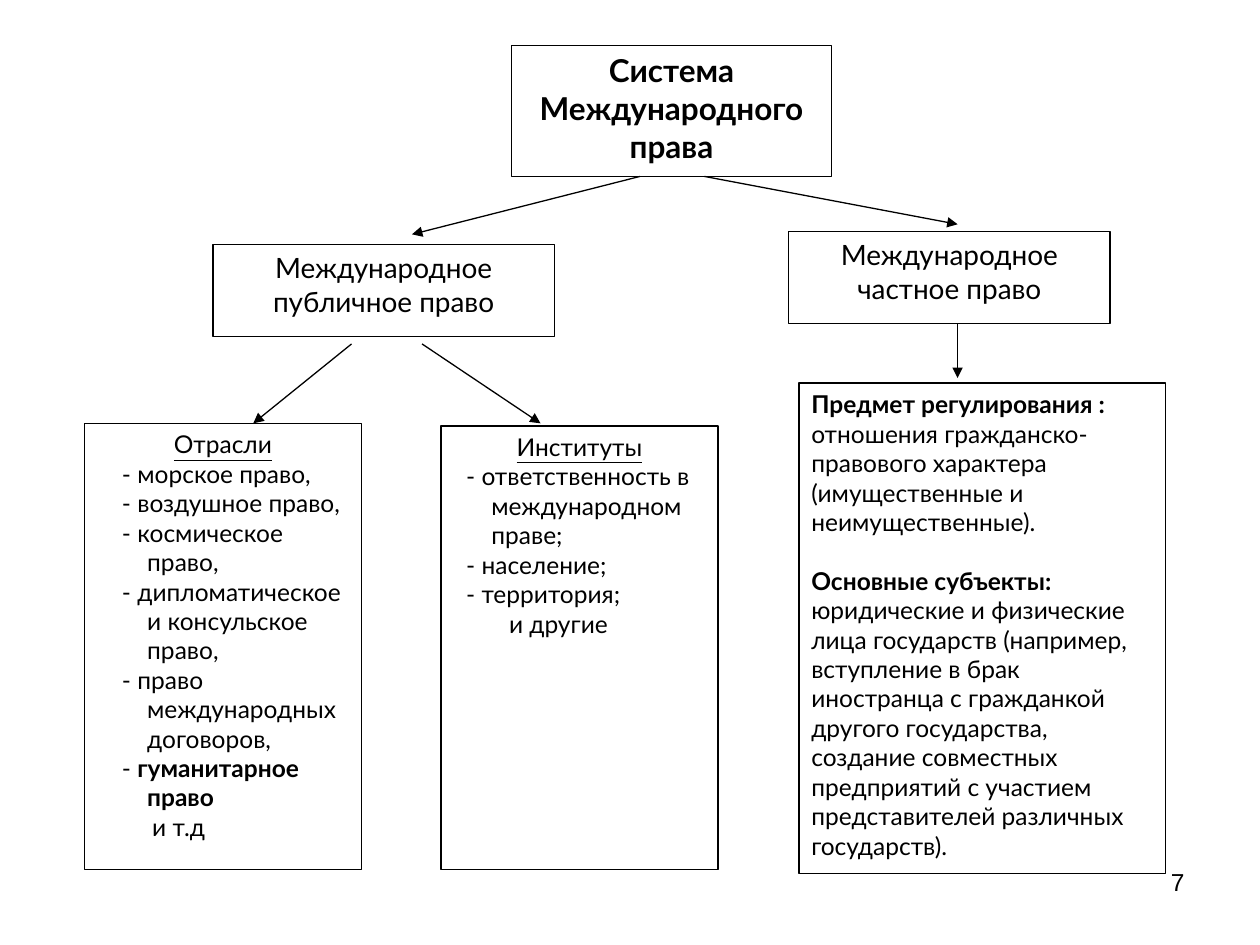
from lxml.etree import SubElement
from pptx import Presentation
from pptx.dml.color import RGBColor
from pptx.enum.shapes import MSO_CONNECTOR, MSO_SHAPE
from pptx.enum.text import MSO_ANCHOR, PP_ALIGN
from pptx.oxml.ns import qn
from pptx.util import Inches, Pt

COLORS = {"ink": "000000", "paper": "FFFFFF"}
COLUMNS, ROWS = 100, 75


def add_text(frame, text, new=True, size=14, bold=False, underline=False, font="Lato",
             align=PP_ALIGN.LEFT, left=0, hanging=0, before=0):
    para = frame.paragraphs[-1]
    if new:
        if para.runs:
            para = frame.add_paragraph()
        para.alignment = align
        para.space_before = Pt(before)
        properties = para._p.get_or_add_pPr()
        properties.set("marL", str(Inches(left)))
        properties.set("indent", str(-Inches(hanging)))
    span = para.add_run()
    span.text = text
    span.font.name = font
    span.font.size = Pt(size)
    span.font.bold = bold
    span.font.underline = underline
    span.font.color.rgb = RGBColor.from_string(COLORS["ink"])


class Diagram:
    line_width = Pt(0.75)

    def __init__(self, deck):
        self.page = deck.slides.add_slide(deck.slide_layouts[6])
        self.column = deck.slide_width / COLUMNS
        self.row = deck.slide_height / ROWS

    def place(self, column, row):
        return round(column * self.column), round(row * self.row)

    def prepare(self, frame, side=0.1):
        frame.word_wrap = True
        frame.vertical_anchor = MSO_ANCHOR.TOP
        frame.margin_left = frame.margin_right = Inches(side)
        frame.margin_top = frame.margin_bottom = Inches(0.05)
        return frame

    def outline(self, line):
        line.color.rgb = RGBColor.from_string(COLORS["ink"])
        line.width = self.line_width

    def box(self, column, row, columns, rows, side=0.1):
        box = self.page.shapes.add_shape(
            MSO_SHAPE.RECTANGLE, *self.place(column, row), *self.place(columns, rows))
        box.shadow.inherit = False
        box.fill.solid()
        box.fill.fore_color.rgb = RGBColor.from_string(COLORS["paper"])
        self.outline(box.line)
        return self.prepare(box.text_frame, side)

    def heading(self, column, row, columns, rows, text, **style):
        add_text(self.box(column, row, columns, rows), text, align=PP_ALIGN.CENTER, **style)

    def listing(self, column, row, columns, rows, title, items, side=0.1):
        frame = self.box(column, row, columns, rows, side)
        add_text(frame, title, underline=True, align=PP_ALIGN.CENTER)
        for item in items:
            add_text(frame, f"- {item}", left=0.4, hanging=0.2)
        return frame

    def label(self, column, row, columns, rows, text, **style):
        box = self.page.shapes.add_textbox(*self.place(column, row), *self.place(columns, rows))
        add_text(self.prepare(box.text_frame), text, **style)

    def arrow(self, start, end):
        arrow = self.page.shapes.add_connector(
            MSO_CONNECTOR.STRAIGHT, *self.place(*start), *self.place(*end))
        self.outline(arrow.line)
        SubElement(arrow.line._get_or_add_ln(), qn("a:tailEnd"), type="triangle")
        SubElement(arrow._element.spPr, qn("a:effectLst"))


def main():
    deck = Presentation()
    deck.slide_width, deck.slide_height = Inches(10), Inches(7.5)
    diagram = Diagram(deck)

    diagram.label(71.7, 68.3, 23.3, 5.2, "7", font="Arial", align=PP_ALIGN.RIGHT)
    diagram.heading(40.6, 3.6, 25.4, 10.4, "Система Международного права", size=18, bold=True)
    diagram.heading(16.9, 19.4, 27.1, 7.3, "Международное публичное право", size=16)
    diagram.heading(62.6, 18.4, 25.5, 7.3, "Международное частное право", size=16)

    branches = diagram.listing(6.7, 33.6, 22, 35.4, "Отрасли", [
        "морское право,", "воздушное право,", "космическое право,",
        "дипломатическое и консульское право,", "право международных договоров,", ""])
    add_text(branches, "гуманитарное право", new=False, bold=True)
    add_text(branches, "и т.д", left=0.44)

    institutes = diagram.listing(35, 33.8, 22, 35.2, "Институты", [
        "ответственность в международном праве;", "население;", "территория;"], side=0)
    add_text(institutes, "и другие", left=0.54)

    private_law = diagram.box(63.4, 30.4, 29.1, 38.9)
    sections = [
        ("Предмет регулирования :",
         " отношения гражданско-правового характера (имущественные и неимущественные).", 0),
        ("Основные субъекты:",
         " юридические и физические лица государств (например, вступление в брак иностранца "
         "с гражданкой другого государства, создание совместных предприятий с участием "
         "представителей различных государств).", 16.8),
    ]
    for title, body, gap in sections:
        add_text(private_law, title, bold=True, before=gap)
        add_text(private_law, body, new=False)

    for start, end in [
        ((50.8, 14), (32.7, 18.6)),
        ((55.9, 14), (76, 17.8)),
        ((33.5, 27.3), (42.9, 33.6)),
        ((27.9, 27.3), (20.1, 33.6)),
        ((76, 25.7), (76, 30)),
    ]:
        diagram.arrow(start, end)

    deck.save("out.pptx")


if __name__ == "__main__":
    main()
